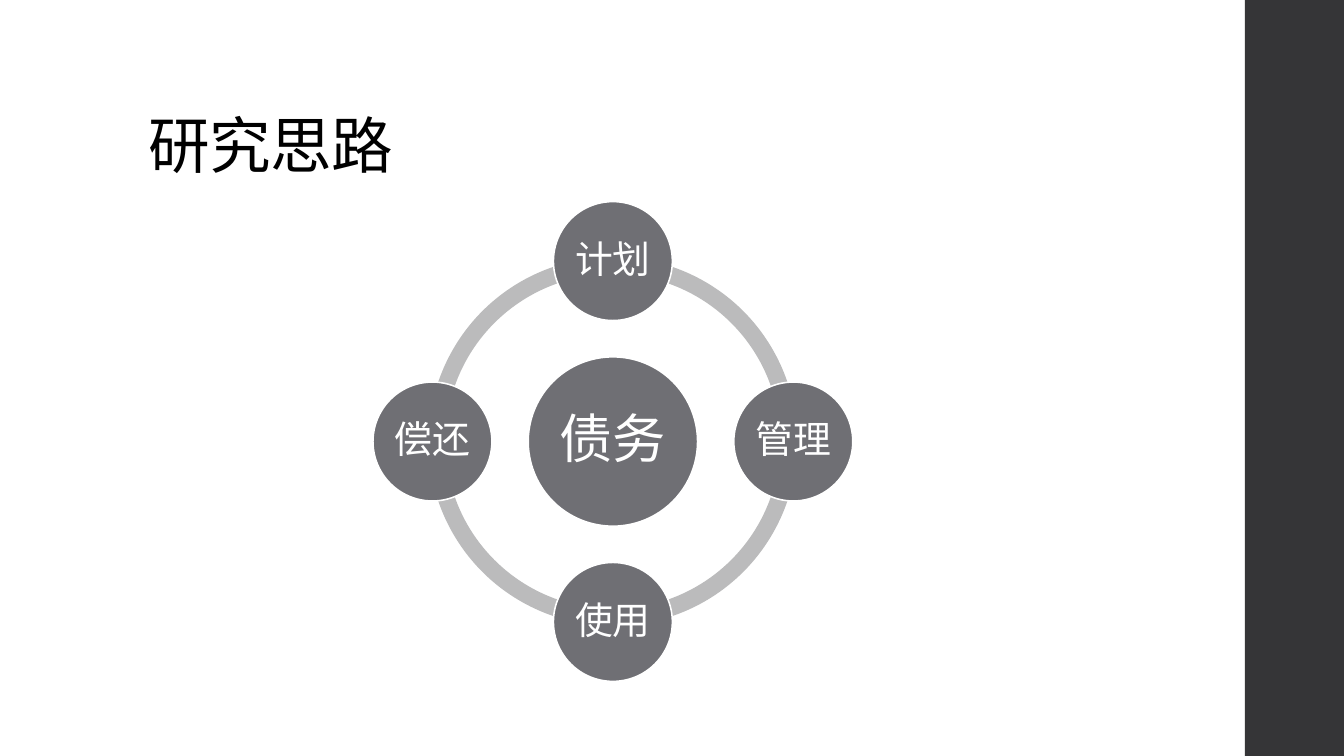
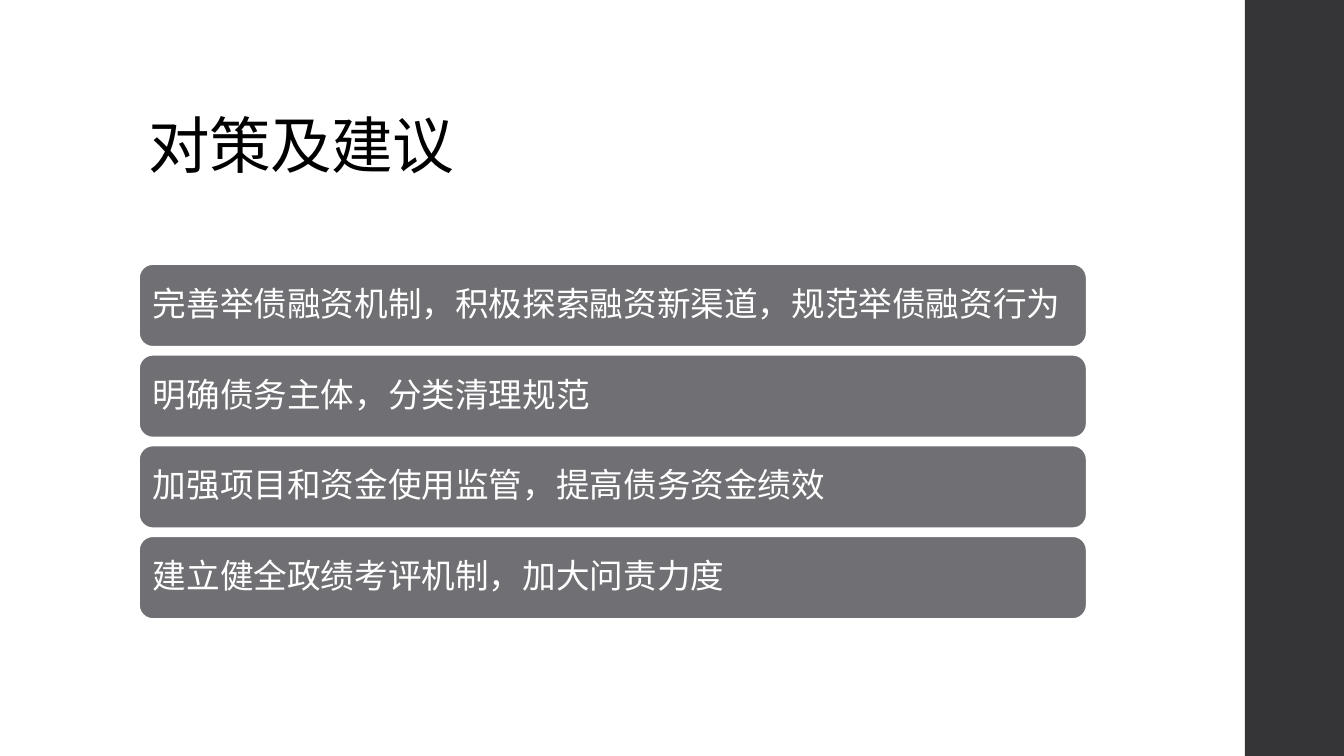
from dataclasses import dataclass
from math import cos, pi, sin

from lxml import etree
from pptx import Presentation
from pptx.dml.color import RGBColor
from pptx.enum.shapes import MSO_SHAPE
from pptx.enum.text import MSO_ANCHOR, PP_ALIGN
from pptx.oxml.ns import qn
from pptx.shapes.autoshape import Shape
from pptx.slide import Slide
from pptx.text.text import TextFrame
from pptx.util import Inches, Pt

RECT, ELLIPSE = MSO_SHAPE.RECTANGLE, MSO_SHAPE.OVAL
ROUNDED, ARC = MSO_SHAPE.ROUNDED_RECTANGLE, MSO_SHAPE.BLOCK_ARC
MIDDLE, BOTTOM = MSO_ANCHOR.MIDDLE, MSO_ANCHOR.BOTTOM
LEFT, CENTER = PP_ALIGN.LEFT, PP_ALIGN.CENTER

# Shared look
FONT = "Noto Sans CJK SC"
BLACK, WHITE = "000000", "FFFFFF"
BAND, PANEL, RING = "353537", "6F6F74", "BBBBBC"
OUTLINE_PT = 1.1

# Grid: square cells, ten to the inch
COLUMNS, ROWS = 133.33, 75
CELL = Inches(0.1)


@dataclass(frozen=True)
class Box:
    """An area in grid columns and rows."""
    column: float
    row: float
    width: float
    height: float

    def lengths(self) -> tuple[int, ...]:
        return tuple(round(n * CELL) for n in
                     (self.column, self.row, self.width, self.height))


@dataclass(frozen=True)
class TextStyle:
    size: float
    color: str = WHITE
    align: PP_ALIGN = LEFT
    anchor: MSO_ANCHOR = MIDDLE
    inset_x: float = 1
    inset_y: float = 1
    wrap: bool = True
    spacing: int = 0


@dataclass(frozen=True)
class Node:
    text: str
    diameter: float
    style: TextStyle
    quarter: int = 0
    orbit: float = 0


TITLE_BOX = Box(13.8, 4, 106, 14.5)
BAND_BOX = Box(123.5, 0, COLUMNS - 123.5, ROWS)
TITLE_STYLE = TextStyle(44, BLACK, anchor=BOTTOM, inset_y=0.5, spacing=-50)
CORE_STYLE = TextStyle(38, align=CENTER, inset_x=0.5, inset_y=0.5, wrap=False)
STAGE_STYLE = TextStyle(27, align=CENTER, inset_x=0.4, inset_y=0.4, wrap=False)
ADVICE_STYLE = TextStyle(24)


def rgb(color: str) -> RGBColor:
    return RGBColor.from_string(color)


def square(center_x: float, center_y: float, side: float) -> Box:
    return Box(center_x - side / 2, center_y - side / 2, side, side)


def write(frame: TextFrame, text: str, style: TextStyle) -> None:
    inset_x, inset_y = round(style.inset_x * CELL), round(style.inset_y * CELL)
    frame_format = {
        "word_wrap": style.wrap, "vertical_anchor": style.anchor,
        "margin_left": inset_x, "margin_right": inset_x,
        "margin_top": inset_y, "margin_bottom": inset_y,
    }
    paragraph = frame.paragraphs[0]
    run = paragraph.add_run()
    run.text = text
    formats = (
        (frame, frame_format),
        (paragraph, {"alignment": style.align, "line_spacing": 0.9}),
        (run.font, {"size": Pt(style.size), "name": FONT}),
    )
    for target, values in formats:
        for name, value in values.items():
            setattr(target, name, value)
    run.font.color.rgb = rgb(style.color)
    # East Asian typeface and character spacing
    properties = run._r.get_or_add_rPr()
    etree.SubElement(properties, qn("a:ea")).set("typeface", FONT)
    if style.spacing:
        properties.set("spc", str(style.spacing))


def draw(slide: Slide, kind: MSO_SHAPE, box: Box, fill: str,
         outlined: bool = False) -> Shape:
    shape = slide.shapes.add_shape(kind, *box.lengths())
    shape.shadow.inherit = False
    shape.fill.solid()
    shape.fill.fore_color.rgb = rgb(fill)
    if outlined:
        shape.line.color.rgb = rgb(WHITE)
        shape.line.width = Pt(OUTLINE_PT)
    else:
        shape.line.fill.background()
    return shape


def start_slide(title: str) -> Slide:
    slide = presentation.slides.add_slide(presentation.slide_layouts[6])
    slide.background.fill.solid()
    slide.background.fill.fore_color.rgb = rgb(WHITE)
    draw(slide, RECT, BAND_BOX, BAND)
    heading = slide.shapes.add_textbox(*TITLE_BOX.lengths())
    write(heading.text_frame, title, TITLE_STYLE)
    return slide


def draw_cycle(slide: Slide, center_x: float, center_y: float,
               nodes: list[Node]) -> None:
    # Ring of four quarter arcs; adjustments count 216 to a full turn
    for quarter in range(4):
        arc = draw(slide, ARC, square(center_x, center_y, 36.6), RING)
        arc.adjustments[0] = quarter * 54
        arc.adjustments[1] = (quarter + 1) % 4 * 54
        arc.adjustments[2] = 0.046
    # Core and the stages around it, clockwise from the top
    for node in nodes:
        angle = (node.quarter - 1) * pi / 2
        spot = square(center_x + node.orbit * cos(angle),
                      center_y + node.orbit * sin(angle), node.diameter)
        circle = draw(slide, ELLIPSE, spot, PANEL, outlined=True)
        write(circle.text_frame, node.text, node.style)


def draw_advice(slide: Slide, first: Box, step: float,
                advice: list[str]) -> None:
    for index, sentence in enumerate(advice):
        row = first.row + index * step
        bar = draw(slide, ROUNDED,
                   Box(first.column, row, first.width, first.height),
                   PANEL, outlined=True)
        write(bar.text_frame, sentence, ADVICE_STYLE)


presentation = Presentation()
presentation.slide_width = round(COLUMNS * CELL)
presentation.slide_height = ROWS * CELL

# Slide 1: the debt cycle
stages = ["计划", "管理", "使用", "偿还"]
draw_cycle(start_slide("研究思路"), 60.8, 43.8, [
    Node("债务", 16.8, CORE_STYLE),
    *(Node(stage, 11.8, STAGE_STYLE, quarter, 17.9)
      for quarter, stage in enumerate(stages)),
])

# Slide 2: recommendations
draw_advice(start_slide("对策及建议"), Box(13.8, 26.2, 94, 8.2), 9, [
    "完善举债融资机制，积极探索融资新渠道，规范举债融资行为",
    "明确债务主体，分类清理规范",
    "加强项目和资金使用监管，提高债务资金绩效",
    "建立健全政绩考评机制，加大问责力度",
])

presentation.save("out.pptx")
